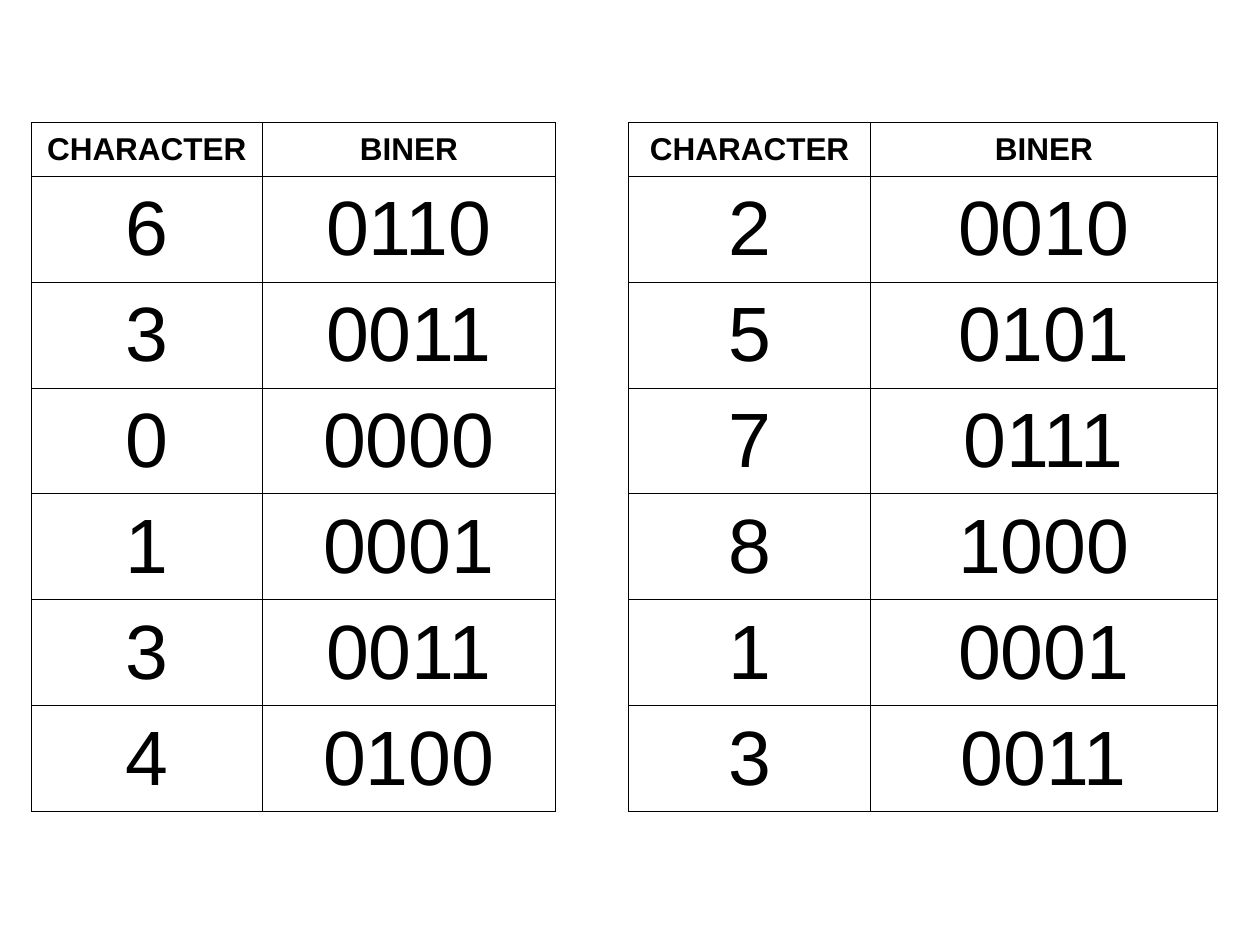
from pptx import Presentation
from pptx.dml.color import RGBColor
from pptx.enum.text import MSO_ANCHOR, PP_ALIGN
from pptx.oxml.ns import qn
from pptx.util import Inches, Pt
from lxml import etree

MID = MSO_ANCHOR.MIDDLE
CENTER = PP_ALIGN.CENTER
COLORS = {"ink": "000000"}
FONT = "Arial"
LINE = Pt(0.45)

HEADS = ["CHARACTER", "BINER"]
LEFT, RIGHT = "630134", "257813"
COLS = [1.83, 2.33, 0.58, 1.92, 2.75]
ROWS = [0.43] + [0.84] * len(LEFT)
GAP = 2  # column that parts the two halves


def pair(digit):
    """A digit and its four-bit code."""
    return [digit, format(int(digit), "04b")]


def edge(cell, sides):
    """Rule the named sides of a cell and clear the others."""
    props = cell._tc.get_or_add_tcPr()
    for side in "LRTB":
        line = etree.SubElement(props, qn(f"a:ln{side}"), w=str(LINE))
        if side in sides:
            fill = etree.SubElement(line, qn("a:solidFill"))
            etree.SubElement(fill, qn("a:srgbClr"), val=COLORS["ink"])
        else:
            etree.SubElement(line, qn("a:noFill"))


def write(cell, text, size, bold):
    cell.vertical_anchor = MID
    cell.text_frame.text = text
    para = cell.text_frame.paragraphs[0]
    para.alignment = CENTER
    font = para.runs[0].font
    font.name, font.size, font.bold = FONT, Pt(size), bold
    font.color.rgb = RGBColor.from_string(COLORS["ink"])


def code_table(slide, x, y, cols, rows):
    """Two lists of digits and codes, side by side."""
    box = [Inches(v) for v in (x, y, sum(cols), sum(rows))]
    table = slide.shapes.add_table(len(rows), len(cols), *box).table
    table.first_row = table.horz_banding = False
    for col, width in zip(table.columns, cols):
        col.width = Inches(width)
    for row, height in zip(table.rows, rows):
        row.height = Inches(height)

    # Headings, then one line for each pair of digits
    lines = [HEADS + [""] + HEADS]
    lines += [pair(a) + [""] + pair(b) for a, b in zip(LEFT, RIGHT)]
    for r, line in enumerate(lines):
        for c, text in enumerate(line):
            cell = table.cell(r, c)
            edge(cell, "LR" if c == GAP else "LRTB")
            cell.fill.background()
            if text:
                write(cell, text, 44 if r else 18, r == 0)

    # Empty strip between the lists
    table.cell(0, GAP).merge(table.cell(len(rows) - 1, GAP))


def main():
    deck = Presentation()
    deck.slide_width, deck.slide_height = Inches(10), Inches(7.5)
    slide = deck.slides.add_slide(deck.slide_layouts[6])
    code_table(slide, 0.25, 0.97, COLS, ROWS)
    deck.save("out.pptx")


if __name__ == "__main__":
    main()
